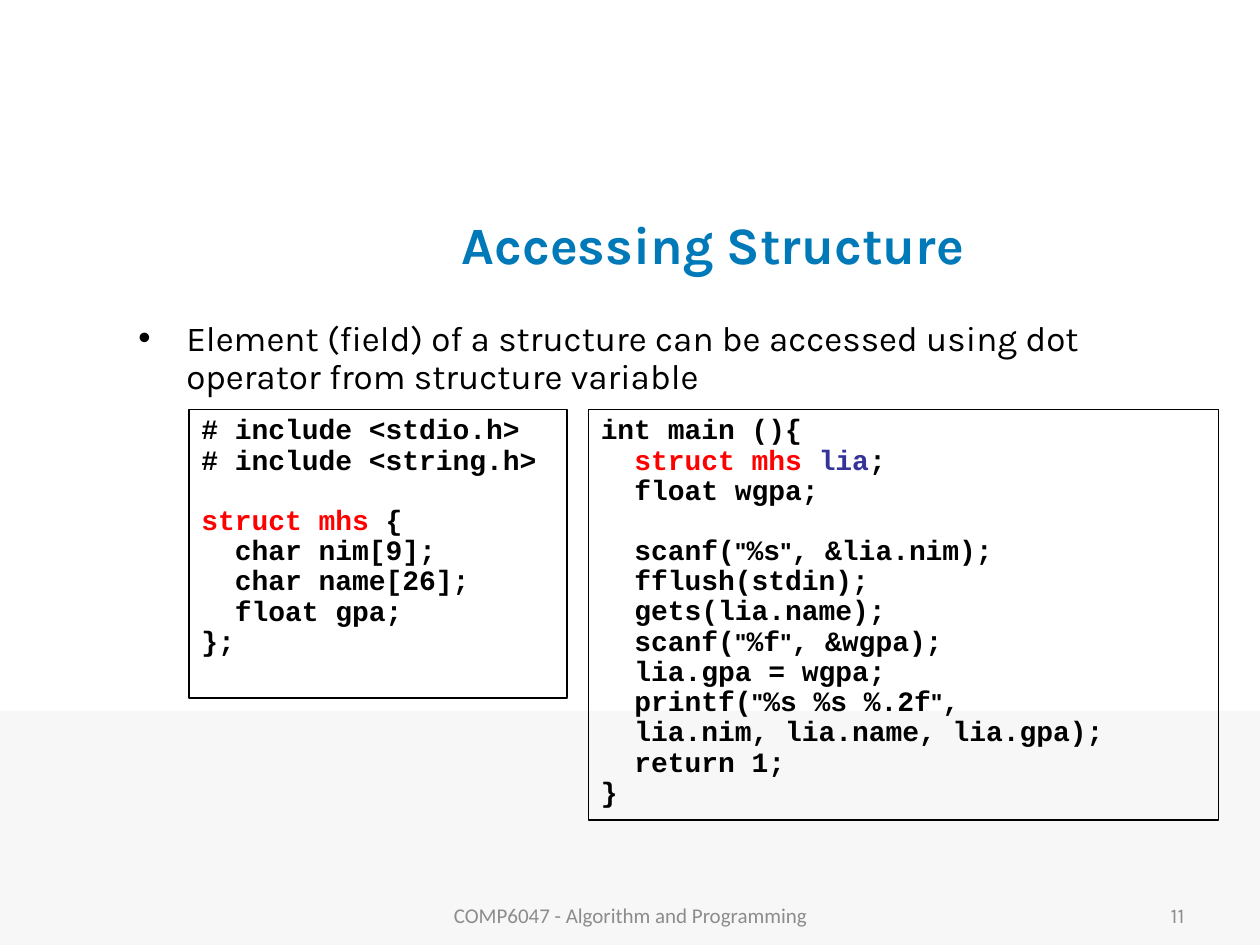
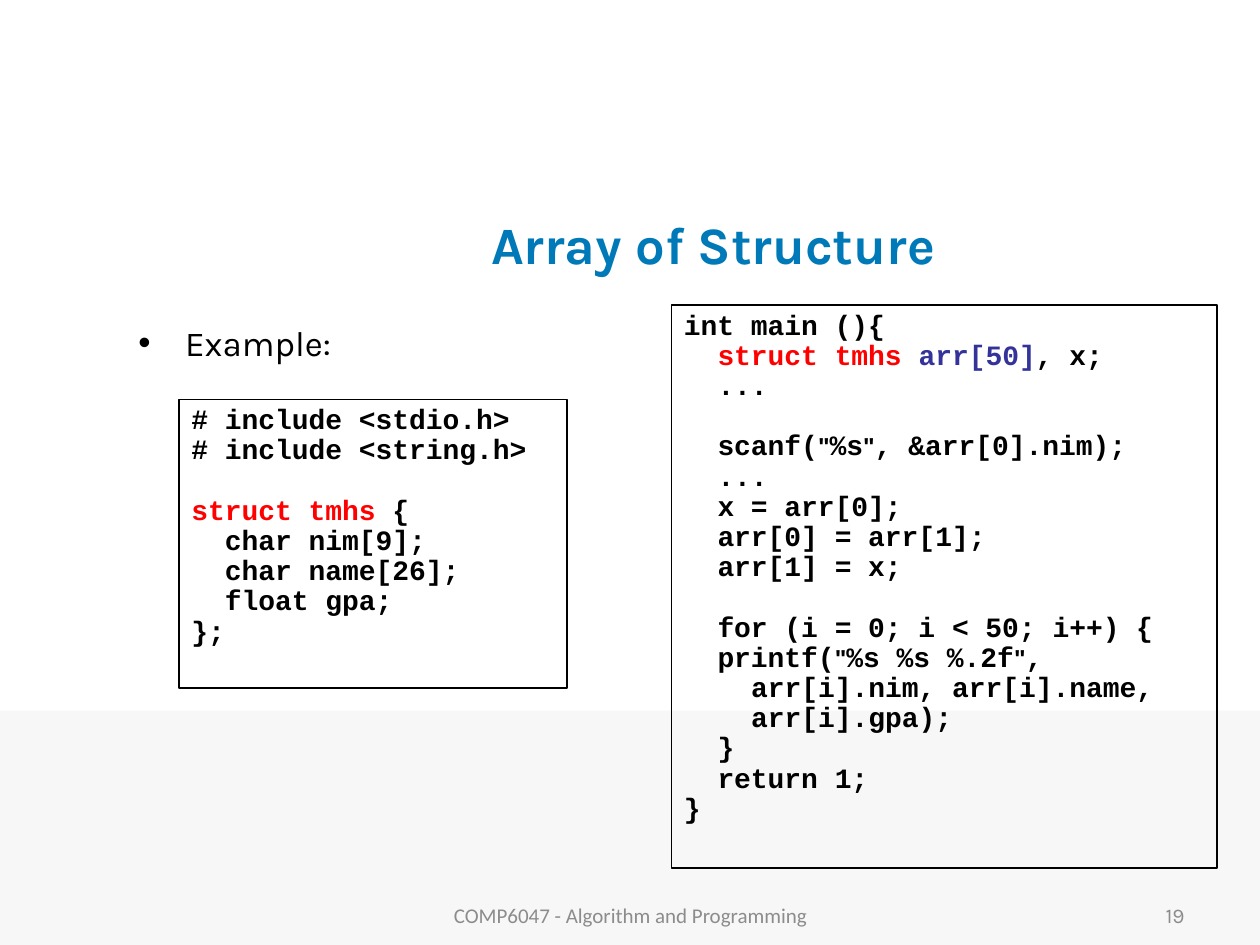
from pptx import Presentation
from pptx.dml.color import RGBColor
from pptx.enum.shapes import MSO_SHAPE as Preset
from pptx.enum.text import MSO_ANCHOR as Anchor, PP_ALIGN as Align
from pptx.oxml.ns import qn
from pptx.util import Inches, Pt
from lxml.etree import SubElement

WHITE = RGBColor(0xFF, 0xFF, 0xFF)
BAND = RGBColor(0xF7, 0xF7, 0xF7)
TITLE = RGBColor(0x00, 0x79, 0xB8)
GRAY = RGBColor(0x8C, 0x8C, 0x8C)
BLACK = RGBColor(0, 0, 0)
RED = RGBColor(0xFF, 0, 0)
BLUE = RGBColor(0x33, 0x33, 0x99)

COURSE = "COMP6047 - Algorithm and Programming"
CODE_LINE = 17.2
CODE_LETTER = 9.6


def inches(box):
    return [Inches(length) for length in box]


def add_run(paragraph, text, font="Karla", size=20, color=BLACK, bold=False):
    run = paragraph.add_run()
    run.text = text
    run.font.name = font
    run.font.size = Pt(size)
    run.font.color.rgb = color
    run.font.bold = bold


def add_text(slide, box, text, align=Align.LEFT, anchor=Anchor.MIDDLE, **style):
    shape = slide.shapes.add_textbox(*inches(box))
    frame = shape.text_frame
    frame.word_wrap = True
    frame.vertical_anchor = anchor
    paragraph = frame.paragraphs[0]
    paragraph.alignment = align
    add_run(paragraph, text, **style)
    return paragraph


def add_rectangle(slide, box, fill=None, line=None):
    shape = slide.shapes.add_shape(Preset.RECTANGLE, *inches(box))
    shape.shadow.inherit = False
    if fill is None:
        shape.fill.background()
    else:
        shape.fill.solid()
        shape.fill.fore_color.rgb = fill
    if line is None:
        shape.line.fill.background()
    else:
        shape.line.color.rgb = line
        shape.line.width = Pt(0.74)
    return shape


def add_bullet(slide, box, text, indent, line_spacing, space_before):
    paragraph = add_text(slide, box, text, anchor=Anchor.TOP)
    paragraph.line_spacing = line_spacing
    paragraph.space_before = Pt(space_before)
    properties = paragraph._p.get_or_add_pPr()
    properties.set("marL", str(Inches(indent)))
    properties.set("indent", str(-Inches(indent)))
    SubElement(properties, qn("a:buFont"), typeface="Arial")
    SubElement(properties, qn("a:buChar"), char="•")


def add_code_line(paragraph, parts, gap):
    first = parts[0][0]
    spaces = len(first) - len(first.lstrip())
    paragraph.alignment = Align.LEFT
    paragraph.line_spacing = 0.9
    paragraph.space_before = Pt(gap)
    paragraph._p.get_or_add_pPr().set("marL", str(Pt(spaces * CODE_LETTER)))
    parts = [(first.lstrip(), parts[0][1])] + parts[1:]
    for text, color in parts:
        for index, piece in enumerate(text.split('"')):
            if index:
                add_run(paragraph, '"', font="Arial", size=14, color=color, bold=True)
            if piece:
                add_run(paragraph, piece, font="Courier New", size=16, color=color, bold=True)


def add_code(slide, box, lines):
    frame = add_rectangle(slide, box, line=BLACK).text_frame
    frame.word_wrap = True
    frame.vertical_anchor = Anchor.TOP
    paragraph, gap = frame.paragraphs[0], 0
    for line in lines:
        if not line:
            gap += CODE_LINE
            continue
        parts = [(line, BLACK)] if isinstance(line, str) else line
        add_code_line(paragraph or frame.add_paragraph(), parts, gap)
        paragraph, gap = None, 0


def add_footer(slide, box, number):
    left, top, width, height = box
    add_text(slide, (left, top, 3.17, height), COURSE, align=Align.CENTER,
             font="Calibri", size=12, color=GRAY)
    add_text(slide, (left + width - 2.33, top, 2.33, height), number,
             align=Align.RIGHT, size=12, color=GRAY)


def add_code_slide(presentation, title, number, bullet, declaration, program):
    slide = presentation.slides.add_slide(presentation.slide_layouts[6])
    slide.background.fill.solid()
    slide.background.fill.fore_color.rgb = WHITE
    add_rectangle(slide, (0, 5.64, 10, 1.86), fill=BAND)
    add_text(slide, (1.92, 1.5, 7.48, 0.87), title, align=Align.CENTER,
             size=30, color=TITLE, bold=True)
    add_bullet(slide, (1, 2.5, 8.58, 4.07), **bullet)
    add_code(slide, *declaration)
    add_code(slide, *program)
    add_footer(slide, (3.42, 7.06, 6.08, 0.4), number)


def declare(name):
    return [
        "# include <stdio.h>",
        "# include <string.h>",
        "",
        [(f"struct {name}", RED), (" {", BLACK)],
        "  char nim[9];",
        "  char name[26];",
        "  float gpa;",
        "};",
    ]


ACCESS_PROGRAM = [
    "int main (){",
    [("  struct mhs ", RED), ("lia", BLUE), (";", BLACK)],
    "  float wgpa;",
    "",
    '  scanf("%s", &lia.nim);',
    "  fflush(stdin);",
    "  gets(lia.name);",
    '  scanf("%f", &wgpa);',
    "  lia.gpa = wgpa;",
    '  printf("%s %s %.2f",',
    "  lia.nim, lia.name, lia.gpa);",
    "  return 1;",
    "}",
]

ARRAY_PROGRAM = [
    "int main (){",
    [("  struct tmhs ", RED), ("arr[50]", BLUE), (", x;", BLACK)],
    "  ...",
    "",
    '  scanf("%s", &arr[0].nim);',
    "  ...",
    "  x = arr[0];",
    "  arr[0] = arr[1];",
    "  arr[1] = x;",
    "",
    "  for (i = 0; i < 50; i++) {",
    '  printf("%s %s %.2f",',
    "    arr[i].nim, arr[i].name,",
    "    arr[i].gpa);",
    "  }",
    "  return 1;",
    "}",
]

presentation = Presentation()
presentation.slide_width = Inches(10)
presentation.slide_height = Inches(7.5)

add_code_slide(
    presentation, "Accessing Structure", "11",
    dict(text="Element (field) of a structure can be accessed using dot "
              "operator from structure variable",
         indent=0.38, line_spacing=0.9, space_before=4),
    ((1.5, 3.25, 3, 2.29), declare("mhs")),
    ((4.67, 3.25, 5, 3.26), ACCESS_PROGRAM),
)
add_code_slide(
    presentation, "Array of Structure", "19",
    dict(text="Example:", indent=0.37, line_spacing=1.0, space_before=8),
    ((1.42, 3.17, 3.08, 2.29), declare("tmhs")),
    ((5.33, 2.42, 4.33, 4.47), ARRAY_PROGRAM),
)

presentation.save("out.pptx")
